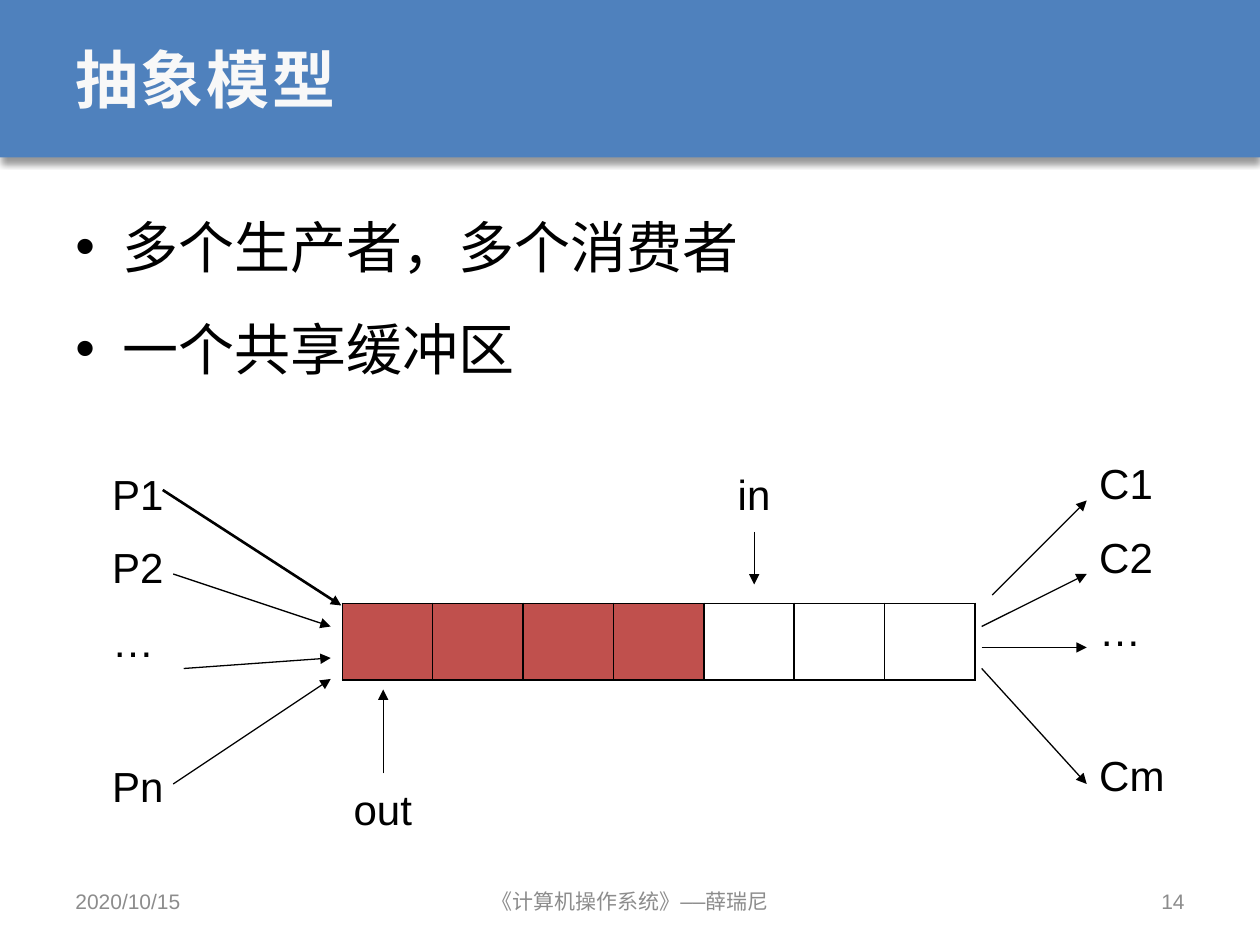
from pptx import Presentation
from pptx.dml.color import RGBColor
from pptx.enum.shapes import MSO_CONNECTOR, MSO_SHAPE
from pptx.enum.text import MSO_ANCHOR, PP_ALIGN
from pptx.oxml import parse_xml
from pptx.oxml.ns import nsdecls, qn
from pptx.util import Pt

NS = nsdecls("a")
MONO = "DejaVu Sans Mono"
SANS = "Arial"


def color(code):
    return RGBColor.from_string(code)


class Deck:
    blue, red, white = "4F81BD", "C0504D", "FFFFFF"
    black, gray, pale = "000000", "8C8C8C", "F8F8F8"

    def __init__(self):
        self.file = Presentation()
        self.file.slide_width, self.file.slide_height = Pt(720), Pt(540)
        self.slide = self.file.slides.add_slide(self.file.slide_layouts[6])
        self.shapes = self.slide.shapes

    def banner(self, x, y, w, h):
        bar = self.shapes.add_shape(MSO_SHAPE.RECTANGLE, Pt(x), Pt(y), Pt(w), Pt(h))
        bar.fill.solid()
        bar.fill.fore_color.rgb = color(self.blue)
        bar.line.fill.background()
        bar._element.spPr.append(parse_xml(
            f'<a:effectLst {NS}><a:outerShdw blurRad="{Pt(4)}" dist="{Pt(3)}" '
            'dir="5400000" rotWithShape="0"><a:srgbClr val="000000">'
            '<a:alpha val="40000"/></a:srgbClr></a:outerShdw></a:effectLst>'))

    def text(self, x, y, w, h, lines, size, font, tint, align=PP_ALIGN.LEFT,
             anchor=MSO_ANCHOR.TOP, wrap=True, gaps=(), lead=None,
             bullet=False, bold=False, track=0):
        box = self.shapes.add_textbox(Pt(x), Pt(y), Pt(w), Pt(h))
        frame = box.text_frame
        frame.word_wrap, frame.vertical_anchor = wrap, anchor
        for i, line in enumerate(lines):
            para = frame.add_paragraph() if i else frame.paragraphs[0]
            para.alignment = align
            if i:
                para.space_before = Pt(gaps[i - 1])
            if lead:
                para.line_spacing = lead
            if bullet:
                prop = para._p.get_or_add_pPr()
                prop.set("marL", str(Pt(27)))
                prop.set("indent", str(Pt(-27)))
                prop.append(parse_xml(f'<a:buFont {NS} typeface="Arial"/>'))
                prop.append(parse_xml(f'<a:buChar {NS} char="•"/>'))
            run = para.add_run()
            run.text = line
            run.font.size, run.font.bold = Pt(size), bold
            run.font.color.rgb = color(tint)
            run.font.name = font
            prop = run._r.get_or_add_rPr()
            prop.append(parse_xml(f'<a:ea {NS} typeface="{font}"/>'))
            if track:
                prop.set("spc", str(int(track * 100)))

    def label(self, x, y, w, h, lines, gaps=()):
        self.text(x, y, w, h, lines, 24, SANS, self.black, wrap=False, gaps=gaps)

    def footer(self, x, w, line, font, align):
        self.text(x, 500.5, w, 28.75, [line], 12, font, self.gray, align,
                  MSO_ANCHOR.MIDDLE)

    def arrow(self, x1, y1, x2, y2, width=0.75):
        line = self.shapes.add_connector(
            MSO_CONNECTOR.STRAIGHT, Pt(x1), Pt(y1), Pt(x2), Pt(y2))
        line.line.color.rgb = color(self.black)
        line.line.width = Pt(width)
        line.line._get_or_add_ln().append(
            parse_xml(f'<a:tailEnd {NS} type="triangle"/>'))
        line._element.spPr.append(parse_xml(f'<a:effectLst {NS}/>'))

    def buffer(self, x, y, cell, h, fills):
        count = len(fills)
        table = self.shapes.add_table(
            1, count, Pt(x), Pt(y), Pt(cell * count), Pt(h)).table
        table.first_row = table.horz_banding = False
        table.rows[0].height = Pt(h)
        for i, fill in enumerate(fills):
            table.columns[i].width = Pt(cell)
            slot = table.cell(0, i)
            prop = slot._tc.get_or_add_tcPr()
            for side in ("lnL", "lnR", "lnT", "lnB"):
                prop.append(parse_xml(
                    f'<a:{side} {NS} w="{Pt(1)}"><a:solidFill>'
                    f'<a:srgbClr val="{self.black}"/></a:solidFill></a:{side}>'))
            slot.fill.solid()
            slot.fill.fore_color.rgb = color(fill)


def main():
    deck = Deck()

    # Title and bullets
    deck.banner(0, 0, 720, 90)
    deck.text(36, 0, 648, 90, ["抽象模型"], 36, MONO, deck.pale,
              anchor=MSO_ANCHOR.MIDDLE, bold=True, track=1.5)
    deck.text(36, 106.5, 648, 384, ["多个生产者，多个消费者", "一个共享缓冲区"],
              32, MONO, deck.black, gaps=[8], lead=1.3, bullet=True)

    # Producers and consumers, with a wide gap before the last one
    gaps = [13.2, 13.2, 54]
    deck.label(57, 264, 54, 211, ["P1", "P2", "…", "Pn"], gaps)
    deck.label(621, 258, 60, 211, ["C1", "C2", "…", "Cm"], gaps)

    # Arrows into the buffer
    deck.arrow(93, 280, 195, 346, 1.5)
    for x, y, end in [(99, 328, 358), (105, 382, 376), (99, 448, 388)]:
        deck.arrow(x, y, 189, end)

    # Arrows out of the buffer
    for x, y, end in [(567, 340, 286), (561, 358, 328),
                      (561, 370, 370), (561, 382, 448)]:
        deck.arrow(x, y, 621, end)

    # Pointers
    deck.label(414.5, 264, 33, 36, ["in"])
    deck.arrow(431, 304, 431, 334)
    deck.label(195, 444, 72, 36, ["out"])
    deck.arrow(219, 442, 219, 394)

    # Shared buffer: four full slots, three empty
    deck.buffer(195.6, 344.8, 51.65, 43.9, [deck.red] * 4 + [deck.white] * 3)

    # Footer
    deck.footer(36, 168, "2020/10/15", SANS, PP_ALIGN.LEFT)
    deck.footer(204, 312, "《计算机操作系统》——薛瑞尼", MONO, PP_ALIGN.CENTER)
    deck.footer(516, 168, "14", SANS, PP_ALIGN.RIGHT)

    deck.file.save("out.pptx")


if __name__ == "__main__":
    main()
